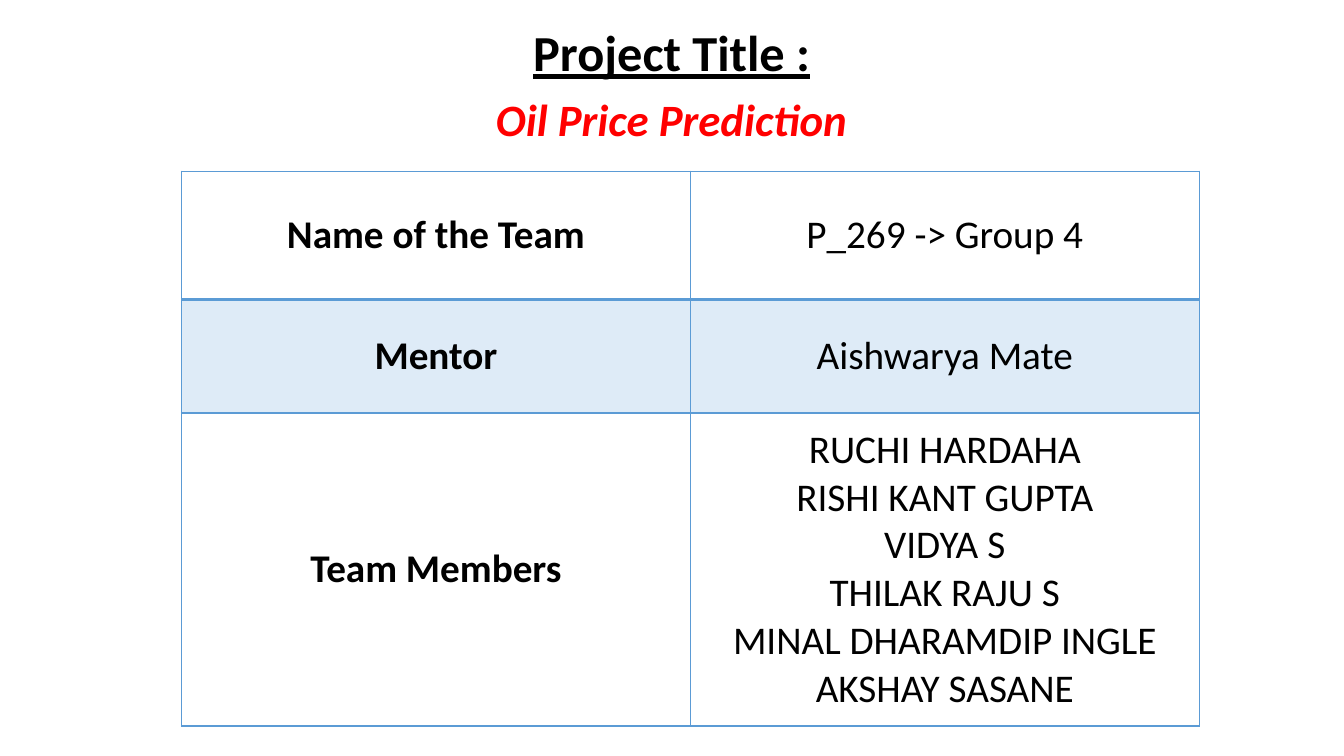
from dataclasses import dataclass

from lxml.etree import SubElement
from pptx import Presentation
from pptx.dml.color import RGBColor as Rgb
from pptx.enum.text import MSO_ANCHOR as Anchor, MSO_AUTO_SIZE as AutoSize, PP_ALIGN as Align
from pptx.oxml.ns import qn
from pptx.slide import Slide
from pptx.table import _Cell as Cell
from pptx.text.text import TextFrame
from pptx.util import Pt


@dataclass(frozen=True)
class Theme:
    font: str = "Calibri"
    text: str = "000000"
    accent: str = "FF0000"
    border: str = "5B9BD5"
    band: str = "DEEBF7"
    title_size: float = 36
    subtitle_size: float = 32
    table_size: float = 28
    thin: float = 1
    thick: float = 2


@dataclass(frozen=True)
class TextStyle:
    size: float
    color: str
    bold: bool = False
    italic: bool = False
    underline: bool = False


@dataclass(frozen=True)
class Heading:
    text: str
    left: float
    top: float
    width: float
    height: float
    style: TextStyle


@dataclass(frozen=True)
class TeamRow:
    label: str
    values: tuple[str, ...]
    height: float
    banded: bool = False


THEME = Theme()
LABEL_STYLE = TextStyle(THEME.table_size, THEME.text, bold=True)
VALUE_STYLE = TextStyle(THEME.table_size, THEME.text)

HEADINGS = (
    Heading("Project Title :", 55.4, 11.5, 849, 51,
            TextStyle(THEME.title_size, THEME.text, bold=True, underline=True)),
    Heading("Oil Price Prediction", 35.3, 62, 889, 46,
            TextStyle(THEME.subtitle_size, THEME.accent, bold=True, italic=True)),
)

TEAM_ROWS = (
    TeamRow("Name of the Team", ("P_269 -> Group 4",), 91.8),
    TeamRow("Mentor", ("Aishwarya Mate",), 81, banded=True),
    TeamRow("Team Members", (
        "RUCHI HARDAHA",
        "RISHI KANT GUPTA",
        "VIDYA S",
        "THILAK RAJU S",
        "MINAL DHARAMDIP INGLE",
        "AKSHAY SASANE",
    ), 223.5),
)
TABLE_LEFT, TABLE_TOP, COLUMN_WIDTH = 129.6, 122.3, 363.5


def write_lines(frame: TextFrame, lines: tuple[str, ...], style: TextStyle) -> None:
    """Write each line as its own centred paragraph."""
    for index, line in enumerate(lines):
        para = frame.add_paragraph() if index else frame.paragraphs[0]
        para.alignment = Align.CENTER
        span = para.add_run()
        span.text = line
        font = span.font
        font.name, font.size = THEME.font, Pt(style.size)
        font.bold, font.italic, font.underline = style.bold, style.italic, style.underline
        font.color.rgb = Rgb.from_string(style.color)


def add_heading(page: Slide, heading: Heading) -> None:
    box = page.shapes.add_textbox(Pt(heading.left), Pt(heading.top),
                                  Pt(heading.width), Pt(heading.height))
    frame = box.text_frame
    frame.word_wrap = True
    frame.auto_size = AutoSize.SHAPE_TO_FIT_TEXT
    write_lines(frame, (heading.text,), heading.style)


def set_borders(cell: Cell, top: float, bottom: float) -> None:
    """Draw all four cell edges; call before filling, as the schema puts edges first."""
    properties = cell._tc.get_or_add_tcPr()
    widths = {"lnL": THEME.thin, "lnR": THEME.thin, "lnT": top, "lnB": bottom}
    for edge, width in widths.items():
        line = SubElement(properties, qn(f"a:{edge}"), w=str(Pt(width)))
        fill = SubElement(line, qn("a:solidFill"))
        SubElement(fill, qn("a:srgbClr"), val=THEME.border)


def add_team_table(page: Slide) -> None:
    height = sum(row.height for row in TEAM_ROWS)
    table = page.shapes.add_table(len(TEAM_ROWS), 2, Pt(TABLE_LEFT), Pt(TABLE_TOP),
                                  Pt(2 * COLUMN_WIDTH), Pt(height)).table
    table.first_row = table.horz_banding = False
    for column in table.columns:
        column.width = Pt(COLUMN_WIDTH)
    for index, row in enumerate(TEAM_ROWS):
        table.rows[index].height = Pt(row.height)
        top = THEME.thick if index == 1 else THEME.thin
        bottom = THEME.thick if index == 0 else THEME.thin
        contents = (((row.label,), LABEL_STYLE), (row.values, VALUE_STYLE))
        for cell, (lines, style) in zip(table.rows[index].cells, contents):
            cell.vertical_anchor = Anchor.MIDDLE
            set_borders(cell, top, bottom)
            if row.banded:
                cell.fill.solid()
                cell.fill.fore_color.rgb = Rgb.from_string(THEME.band)
            else:
                cell.fill.background()
            write_lines(cell.text_frame, lines, style)


def main() -> None:
    deck = Presentation()
    deck.slide_width, deck.slide_height = Pt(960), Pt(540)
    page = deck.slides.add_slide(deck.slide_layouts[6])
    for heading in HEADINGS:
        add_heading(page, heading)
    add_team_table(page)
    deck.save("out.pptx")


if __name__ == "__main__":
    main()
